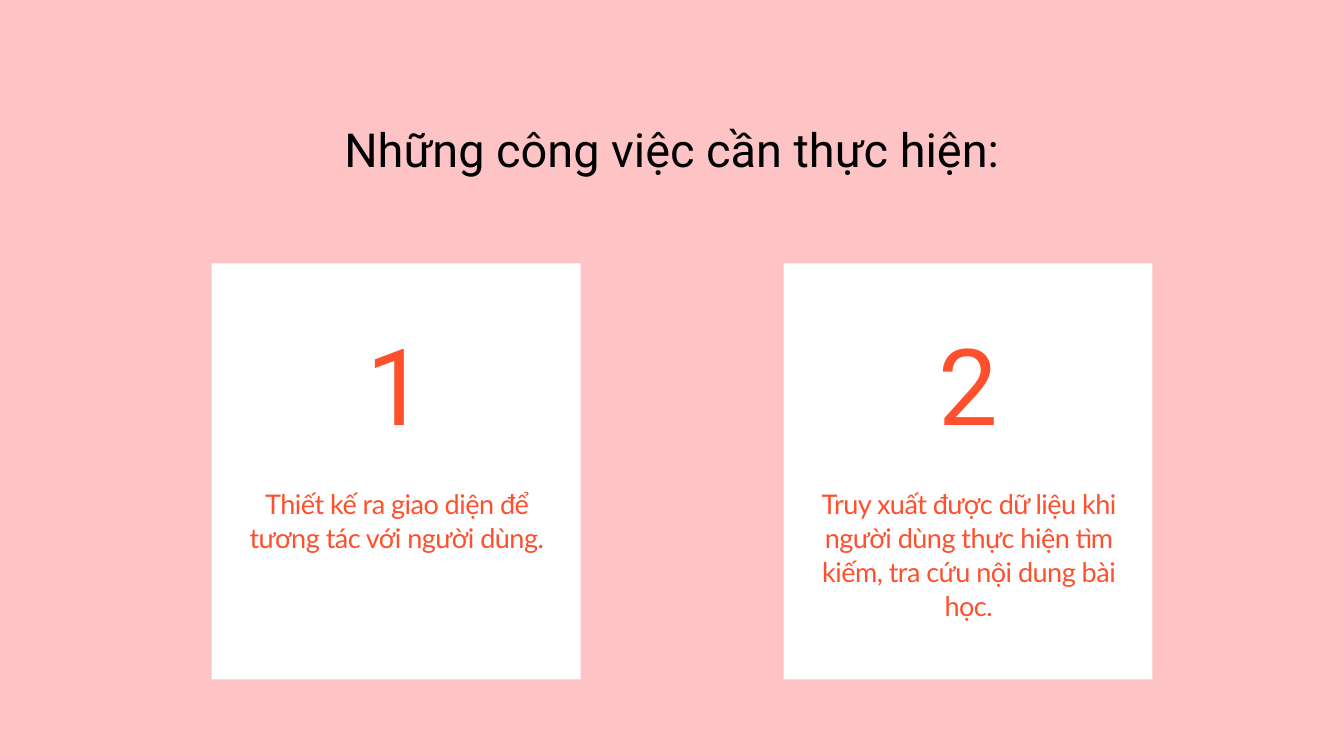
from pptx import Presentation
from pptx.dml.color import RGBColor as Rgb
from pptx.enum.shapes import MSO_SHAPE as Preset
from pptx.enum.text import MSO_ANCHOR as Anchor, MSO_AUTO_SIZE as Fit, PP_ALIGN as Align
from pptx.util import Inches, Pt

COLUMNS, ROWS = 20, 11.25  # square grid cells, one inch each


def color(hex_code):
    """Turn a hex string into a colour."""
    return Rgb.from_string(hex_code)


def cells(*lengths):
    """Turn grid columns or rows into slide lengths."""
    return [Inches(length) for length in lengths]


class TaskSlide:
    """Holds the style and the current slide."""

    background, card_fill, ink, accent = "FDC3C5", "FFFFFF", "000000", "FE502D"
    heading_font, body_font = "Roboto", "Lato"
    frame_format = dict(margin_left=0, margin_right=0, margin_top=0, margin_bottom=0,
                        word_wrap=True, auto_size=Fit.NONE, vertical_anchor=Anchor.TOP)

    def __init__(self, deck):
        """Add a title-only slide with a plain background."""
        self.slide = deck.slides.add_slide(deck.slide_layouts[5])
        fill = self.slide.background.fill
        fill.solid()
        fill.fore_color.rgb = color(self.background)

    def set_text(self, holder, words, size, leading, font_name, ink, tracking=0):
        """Put one centred, formatted paragraph into a shape."""
        frame = holder.text_frame
        for key, value in self.frame_format.items():
            setattr(frame, key, value)
        line = frame.paragraphs[0]
        line.alignment, line.line_spacing = Align.CENTER, Pt(leading)
        run = line.add_run()
        run.text = words
        for key, value in dict(name=font_name, size=Pt(size), bold=False).items():
            setattr(run.font, key, value)
        run.font.color.rgb = color(ink)
        if tracking:
            run.font._element.set("spc", str(round(tracking * 100)))

    def heading(self, words, left, top, width, height):
        """Move and fill the title placeholder."""
        title = self.slide.shapes.title
        title.left, title.top, title.width, title.height = cells(left, top, width, height)
        self.set_text(title, words, 50.2, 70.2, self.heading_font, self.ink)

    def label(self, words, place, *style, tracking=0):
        """Add a text box in the accent colour."""
        box = self.slide.shapes.add_textbox(*cells(*place))
        self.set_text(box, words, *style, self.accent, tracking)

    def card(self, left, number, task, task_height):
        """Add a card with its number and task."""
        panel = self.slide.shapes.add_shape(Preset.RECTANGLE, *cells(left, 3.92, 5.49, 6.19))
        panel.shadow.inherit = False
        panel.fill.solid()
        panel.fill.fore_color.rgb = color(self.card_fill)
        panel.line.fill.background()
        text_left, text_width = left + 0.55, 4.41
        self.label(str(number), (text_left, 4.44, text_width, 2.14),
                   113.9, 159.4, self.heading_font)
        self.label(task, (text_left, 7.24, text_width, task_height),
                   29, 36.2, self.body_font, tracking=-0.6)


def main():
    """Build the slide and save it."""
    deck = Presentation()
    deck.slide_width, deck.slide_height = cells(COLUMNS, ROWS)
    page = TaskSlide(deck)
    page.heading("Những công việc cần thực hiện:", 1.12, 1.66, 17.75, 0.95)
    tasks = [
        ("Thiết kế ra giao diện để tương tác với người dùng.", 1.02),
        ("Truy xuất được dữ liệu khi người dùng thực hiện tìm kiếm, "
         "tra cứu nội dung bài học.", 2.02),
    ]
    first_left, step = 3.15, 8.51
    for index, (task, height) in enumerate(tasks):
        page.card(first_left + index * step, index + 1, task, height)
    deck.save("out.pptx")


main()
